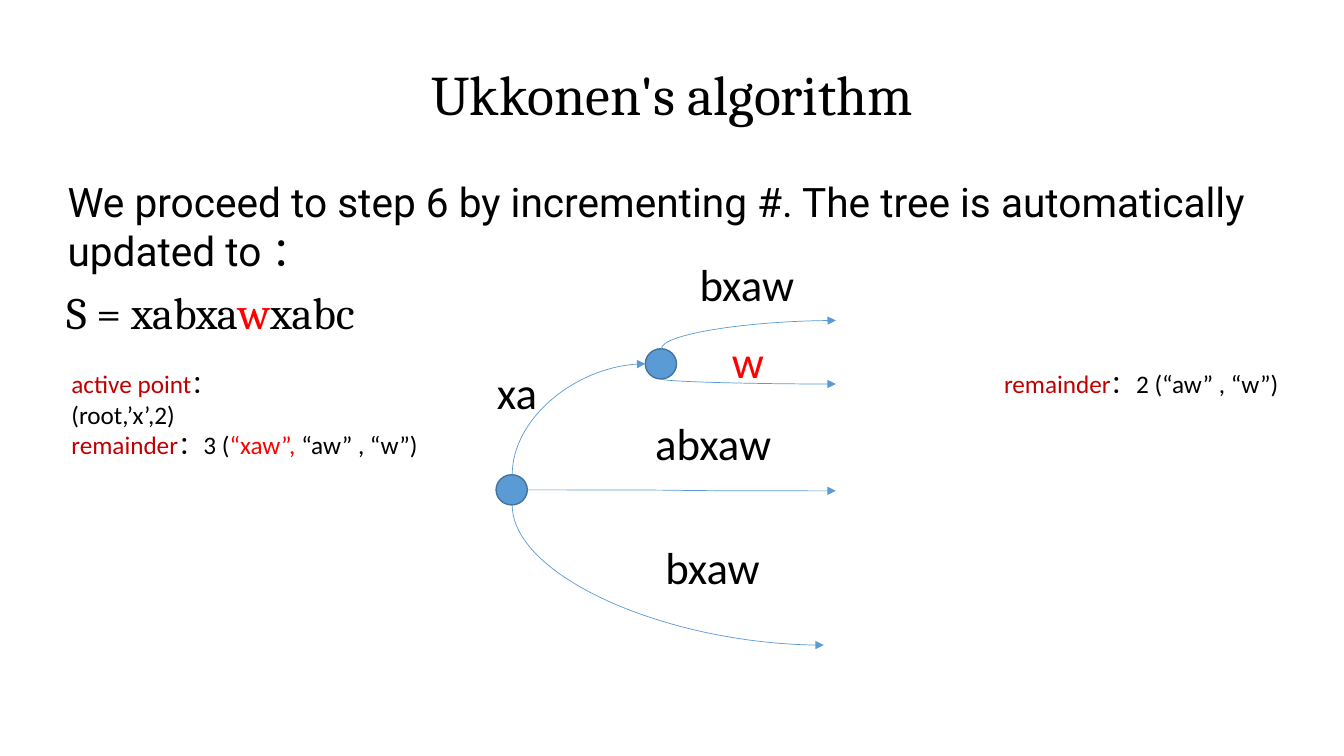
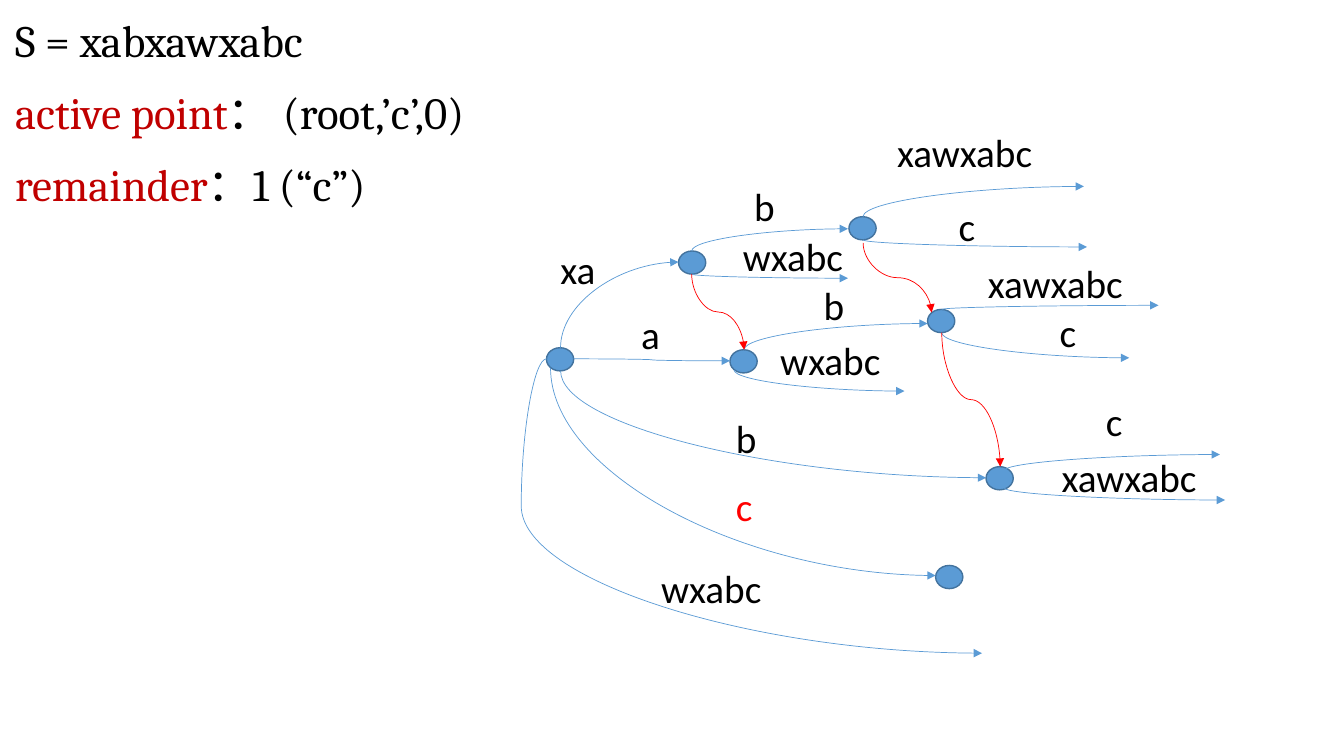
from dataclasses import dataclass
from itertools import starmap

from lxml import etree
from pptx import Presentation
from pptx import util as u
from pptx.dml import color as dml
from pptx.enum import shapes, text
from pptx.oxml import ns

PX = 9144
BLACK, RED, DARK = "000000", "FF0000", "C00000"
BLUE, RIM = "5B9BD5", "43739E"
SERIF, SANS, BODY = "Cambria", "Calibri", "Roboto"
Point = tuple[int, int]
Run = tuple[str, str]


@dataclass
class Node:
    x: int
    y: int
    w: int = 27
    h: int = 23

    def at(self, side: str) -> Point:
        fx, fy = {"t": (0.5, 0), "b": (0.5, 1), "l": (0, 0.5), "r": (1, 0.5),
                  "tl": (0.15, 0.15), "bl": (0.15, 0.85)}[side]
        return round(self.x + fx * self.w), round(self.y + fy * self.h)


@dataclass
class Edge:
    start: Point
    end: Point
    kind: str = "turn"
    hue: str = BLUE


@dataclass
class Label:
    word: str
    x: int
    y: int
    w: int
    hue: str = BLACK


def rgb(hue: str) -> dml.RGBColor:
    return dml.RGBColor.from_string(hue)


def add_text(slide, box: tuple[int, int, int, int], paras: list[list[Run]],
             font: str, size: float, inset: bool = True, grow: bool = True,
             mid: bool = False) -> None:
    frame = slide.shapes.add_textbox(*(v * PX for v in box)).text_frame
    frame.word_wrap = True
    if grow:
        frame.auto_size = text.MSO_AUTO_SIZE.SHAPE_TO_FIT_TEXT
    if not inset:
        frame.margin_left = frame.margin_right = 0
        frame.margin_top = frame.margin_bottom = 0
    if mid:
        frame.vertical_anchor = text.MSO_ANCHOR.MIDDLE
    for i, runs in enumerate(paras):
        para = frame.add_paragraph() if i else frame.paragraphs[0]
        if i:
            para.space_before = u.Pt(12.8)
        if mid:
            para.alignment = text.PP_ALIGN.CENTER
        for word, hue in runs:
            run = para.add_run()
            run.text = word
            run.font.name = font
            run.font.size = u.Pt(size)
            run.font.color.rgb = rgb(hue)


def add_node(slide, node: Node) -> None:
    oval = slide.shapes.add_shape(
        shapes.MSO_SHAPE.OVAL, *(v * PX for v in (node.x, node.y, node.w, node.h)))
    oval.shadow.inherit = False
    oval.fill.solid()
    oval.fill.fore_color.rgb = rgb(BLUE)
    oval.line.color.rgb = rgb(RIM)
    oval.line.width = u.Pt(1)


def add_edge(slide, edge: Edge) -> None:
    (x1, y1), (x2, y2) = edge.start, edge.end
    wide, high = abs(x2 - x1) * PX, abs(y2 - y1) * PX
    left, top = min(x1, x2) * PX, min(y1, y2) * PX
    line = slide.shapes.add_connector(
        shapes.MSO_CONNECTOR.CURVE, left, top, left + wide, top + high)
    line.line.color.rgb = rgb(edge.hue)
    line.line.width = u.Pt(0.5)
    props = line._element.spPr
    geom = props.find(ns.qn("a:prstGeom"))
    if edge.kind in ("turn", "ess"):
        line.left = left + (wide - high) // 2
        line.top = top + (high - wide) // 2
        line.width, line.height = high, wide
        form = props.find(ns.qn("a:xfrm"))
        form.set("flipH", "1")
        if y2 < y1:
            form.set("flipV", "1")
        form.set("rot", str((90 if y2 < y1 else 270) * 60000))
    if edge.kind == "turn":
        geom.set("prst", "curvedConnector2")
    if edge.kind == "loop":
        vals = geom.find(ns.qn("a:avLst"))
        if vals is None:
            vals = etree.SubElement(geom, ns.qn("a:avLst"))
        etree.SubElement(vals, ns.qn("a:gd"), name="adj1", fmla="val -5800")
    etree.SubElement(props.find(ns.qn("a:ln")), ns.qn("a:tailEnd"), type="triangle")
    etree.SubElement(props, ns.qn("a:effectLst"))


def add_tree(slide, nodes: list[Node], edges: list[Edge],
             labels: list[Label], size: int) -> None:
    for node in nodes:
        add_node(slide, node)
    for edge in edges:
        add_edge(slide, edge)
    for tag in labels:
        add_text(slide, (tag.x, tag.y, tag.w, size * 2), [[(tag.word, tag.hue)]],
                 SANS, size)


def step_six(slide) -> None:
    add_text(slide, (67, 30, 1200, 125), [[("Ukkonen's algorithm", BLACK)]],
             SERIF, 39.9, inset=False, grow=False, mid=True)
    add_text(slide, (67, 176, 1200, 435),
             [[("We proceed to step 6 by incrementing #. The tree is "
                "automatically updated to ：", BLACK)]],
             BODY, 29, inset=False, grow=False)
    add_text(slide, (56, 278, 337, 64),
             [[("S = xabxa", BLACK), ("w", RED), ("xabc", BLACK)]], SERIF, 32)
    notes = [
        (61, 361, 265, [("active point", DARK), ("： (root,’x’,2)", BLACK)]),
        (61, 421, 366, [("remainder", DARK), ("：3 (", BLACK),
                        ("“xaw”, ", RED), ("“aw” , “w”)", BLACK)]),
        (986, 361, 295, [("remainder", DARK), ("：2 (“aw” , “w”)", BLACK)]),
    ]
    for x, y, w, runs in notes:
        add_text(slide, (x, y, w, 40), [runs], SANS, 18)
    root, xa = Node(492, 471, 31, 30), Node(640, 346, 31, 30)
    edges = [
        Edge(root.at("t"), xa.at("l")),
        Edge(xa.at("t"), (829, 318)),
        Edge(xa.at("b"), (829, 381)),
        Edge(root.at("b"), (817, 640)),
        Edge(root.at("r"), (829, 487), "flat"),
    ]
    labels = list(starmap(Label, [
        ("bxaw", 684, 250, 117), ("xa", 483, 357, 62), ("w", 716, 326, 52, RED),
        ("abxaw", 640, 408, 139), ("bxaw", 650, 531, 117),
    ]))
    add_tree(slide, [root, xa], edges, labels, 32)


def last_step(slide) -> None:
    add_text(slide, (15, 13, 1200, 218),
             [[("S = xabxawxabc", BLACK)],
              [("active point", DARK), ("： (root,’c’,0)", BLACK)],
              [("remainder", DARK), ("：1 (“c”)", BLACK)]],
             SERIF, 32, inset=False, grow=False)
    root, xa, xab = Node(542, 345), Node(673, 249), Node(842, 215)
    a, ab, b, c = Node(724, 347), Node(920, 307), Node(978, 463), Node(928, 561)
    edges = [
        Edge(root.at("t"), xa.at("l")),
        Edge(root.at("r"), a.at("l"), "flat"),
        Edge(root.at("b"), b.at("l")),
        Edge(root.at("bl"), (928, 571)),
        Edge(root.at("l"), (974, 648), "loop"),
        Edge(xa.at("t"), (841, 227)),
        Edge(xa.at("b"), (841, 276)),
        Edge(xab.at("t"), (1075, 185)),
        Edge(xab.at("b"), (1078, 245)),
        Edge(a.at("t"), (920, 321)),
        Edge(a.at("bl"), (897, 388)),
        Edge(ab.at("t"), (1149, 303)),
        Edge(ab.at("b"), (1120, 355)),
        Edge((996, 467), (1210, 451)),
        Edge((996, 484), (1215, 496)),
        Edge(xa.at("b"), a.at("t"), "ess", RED),
        Edge((856, 241), ab.at("tl"), "ess", RED),
        Edge(ab.at("b"), b.at("t"), "ess", RED),
    ]
    labels = list(starmap(Label, [
        ("xa", 546, 238, 66), ("a", 626, 303, 41), ("b", 720, 406, 63),
        ("c", 720, 474, 37, RED), ("wxabc", 646, 555, 157),
        ("b", 738, 176, 51), ("wxabc", 727, 226, 144),
        ("xawxabc", 880, 122, 159), ("c", 941, 196, 43),
        ("b", 807, 274, 44), ("wxabc", 764, 329, 158),
        ("xawxabc", 970, 252, 176), ("c", 1041, 301, 42),
        ("c", 1087, 389, 42), ("xawxabc", 1043, 445, 172),
    ]))
    add_tree(slide, [root, xa, xab, a, ab, b, c], edges, labels, 28)


def main() -> None:
    deck = Presentation()
    deck.slide_width, deck.slide_height = 1333 * PX, 750 * PX
    for draw in (step_six, last_step):
        draw(deck.slides.add_slide(deck.slide_layouts[6]))
    deck.save("out.pptx")


if __name__ == "__main__":
    main()
